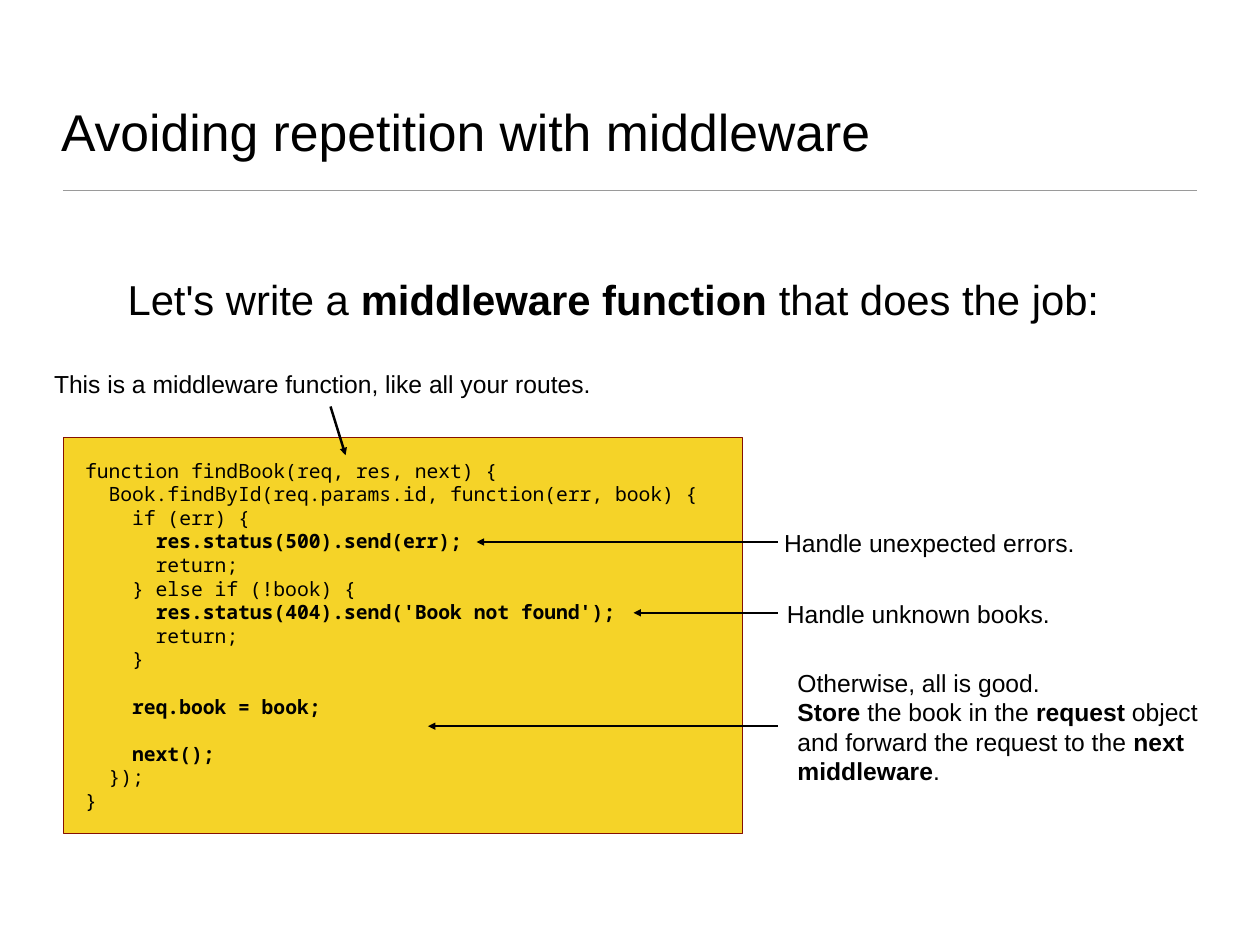
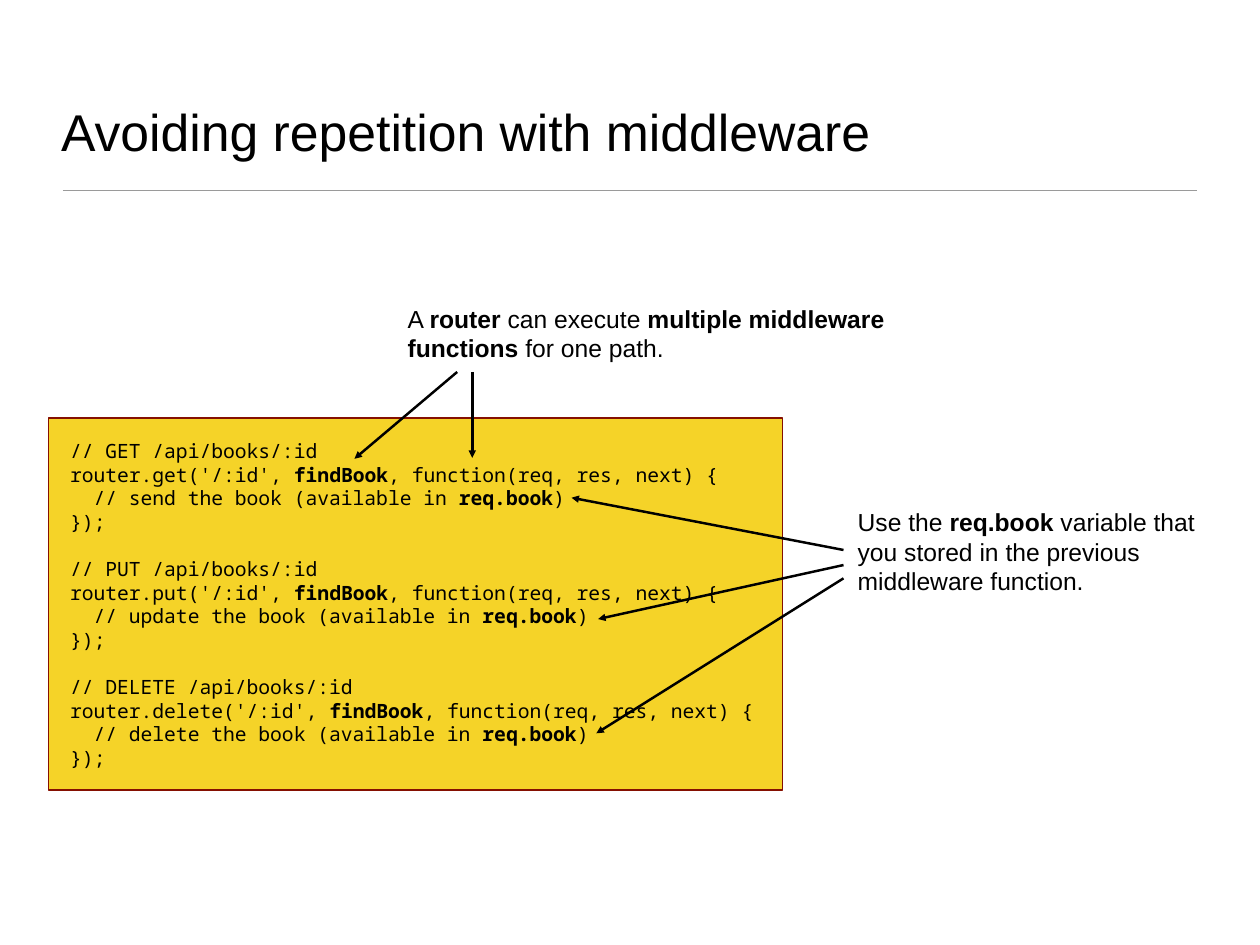
from lxml import etree
from pptx import Presentation
from pptx.dml.color import RGBColor
from pptx.enum.shapes import MSO_CONNECTOR, MSO_SHAPE
from pptx.enum.text import MSO_ANCHOR, PP_ALIGN
from pptx.oxml.ns import qn
from pptx.util import Inches, Pt

STRAIGHT = MSO_CONNECTOR.STRAIGHT
RECTANGLE = MSO_SHAPE.RECTANGLE
MIDDLE, BOTTOM = MSO_ANCHOR.MIDDLE, MSO_ANCHOR.BOTTOM
LEFT = PP_ALIGN.LEFT

BLACK = RGBColor(0x00, 0x00, 0x00)
GREY = RGBColor(0x9A, 0x9A, 0x9A)
YELLOW = RGBColor(0xF5, 0xD3, 0x28)
DARK_RED = RGBColor(0x85, 0x10, 0x01)

TEXT_FONT, CODE_FONT = "Arial", "Noto Sans Mono"
TITLE_SIZE, LEAD_SIZE, NOTE_SIZE, CODE_SIZE = 42, 34, 20, 16
LINE_HEIGHT = 1.2
TEXT_INSET, CODE_INSET = 0.06, 0.24

TITLE = "Avoiding repetition with middleware"

FIND_BOOK_CODE = """function findBook(req, res, next) {
  Book.findById(req.params.id, function(err, book) {
    if (err) {
      **res.status(500).send(err);**
      return;
    } else if (!book) {
      **res.status(404).send('Book not found');**
      return;
    }

    **req.book = book;**

    **next();**
  });
}"""

ROUTE_CODE = """// {verb} /api/books/:id
router.{method}('/:id', **findBook**, function(req, res, next) {{
  // {action} the book (available in **req.book**)
}});"""

ROUTE_ACTIONS = {"GET": "send", "PUT": "update", "DELETE": "delete"}


def write(frame, text, font, size, inset, anchor=MIDDLE, wrap=True):
    """Fill a text frame; words between double asterisks become bold."""
    frame.word_wrap = wrap
    frame.vertical_anchor = anchor
    frame.margin_left = frame.margin_right = Inches(inset)
    frame.margin_top = frame.margin_bottom = Inches(inset)
    for number, line in enumerate(text.split("\n")):
        paragraph = frame.paragraphs[0] if number == 0 else frame.add_paragraph()
        paragraph.alignment = LEFT
        paragraph.line_spacing = Pt(LINE_HEIGHT * size)
        paragraph.font.size = Pt(size)
        for index, part in enumerate(line.split("**")):
            if part:
                run = paragraph.add_run()
                run.text = part
                run.font.name = font
                run.font.size = Pt(size)
                run.font.bold = index % 2 == 1
                run.font.color.rgb = BLACK


def add_text(slide, box, text, size=NOTE_SIZE, anchor=MIDDLE, wrap=True):
    label = slide.shapes.add_textbox(*map(Inches, box))
    write(label.text_frame, text, TEXT_FONT, size, TEXT_INSET, anchor, wrap)


def add_line(slide, start, end, color, width, arrow=False):
    line = slide.shapes.add_connector(STRAIGHT, *map(Inches, (*start, *end)))
    line.line.color.rgb = color
    line.line.width = Pt(width)
    if arrow:
        etree.SubElement(line.line._get_or_add_ln(), qn("a:tailEnd"), type="triangle")
    etree.SubElement(line._element.spPr, qn("a:effectLst"))


def add_titled_slide(prs):
    slide = prs.slides.add_slide(prs.slide_layouts[6])
    add_line(slide, (0.71, 2.15), (13.51, 2.15), GREY, 1)
    add_text(slide, (0.63, 0.36, 12.97, 1.53), TITLE, TITLE_SIZE, BOTTOM)
    return slide


def add_annotated_code(slide, box, code, notes, arrows):
    """Draw a code panel; notes and arrows are offset from its top left corner."""
    left, top = box[:2]
    panel = slide.shapes.add_shape(RECTANGLE, *map(Inches, box))
    panel.shadow.inherit = False
    panel.fill.solid()
    panel.fill.fore_color.rgb = YELLOW
    panel.line.color.rgb = DARK_RED
    panel.line.width = Pt(1)
    write(panel.text_frame, code, CODE_FONT, CODE_SIZE, CODE_INSET)

    for (x, y, width, height), text, wrap in notes:
        add_text(slide, (left + x, top + y, width, height), text, wrap=wrap)
    for (x1, y1), (x2, y2) in arrows:
        add_line(slide, (left + x1, top + y1), (left + x2, top + y2), BLACK, 2, arrow=True)


def add_function_slide(prs):
    slide = add_titled_slide(prs)
    add_text(slide, (1.38, 3.03, 11.47, 0.68),
             "Let's write a **middleware function** that does the job:",
             LEAD_SIZE, wrap=False)
    notes = [
        ((-0.17, -0.83, 6.54, 0.45),
         "This is a middleware function, like all your routes.", False),
        ((8.07, 0.96, 3.6, 0.45), "Handle unexpected errors.", False),
        ((8.1, 1.76, 3.27, 0.45), "Handle unknown books.", False),
        ((8.22, 2.54, 5.05, 1.45),
         "Otherwise, all is good.\n"
         "**Store** the book in the **request** object\n"
         "and forward the request to the **next middleware**.", True),
    ]
    arrows = [((3.01, -0.35), (3.18, 0.2))]
    arrows += [((8.06, y), (tip, y))
               for tip, y in ((4.66, 1.18), (6.43, 1.98), (4.11, 3.26))]
    add_annotated_code(slide, (0.72, 4.94, 7.66, 4.47), FIND_BOOK_CODE, notes, arrows)


def add_router_slide(prs):
    slide = add_titled_slide(prs)
    code = "\n\n".join(
        ROUTE_CODE.format(verb=verb, method=verb.lower(), action=action)
        for verb, action in ROUTE_ACTIONS.items())
    notes = [
        ((3.99, -1.35, 5.82, 0.78),
         "A **router** can execute **multiple middleware functions** for one path.", True),
        ((9.07, 0.78, 4.06, 1.45),
         "Use the **req.book** variable that you stored in the previous "
         "middleware function.", True),
    ]
    arrows = [
        ((4.61, -0.52), (3.45, 0.46)),
        ((4.78, -0.52), (4.78, 0.45)),
        ((8.97, 1.49), (5.9, 0.9)),
        ((8.97, 1.66), (6.2, 2.27)),
        ((8.97, 1.81), (6.18, 3.56)),
    ]
    add_annotated_code(slide, (0.55, 4.72, 8.28, 4.2), code, notes, arrows)


def main():
    prs = Presentation()
    prs.slide_width, prs.slide_height = Inches(14.22), Inches(10.67)
    add_function_slide(prs)
    add_router_slide(prs)
    prs.save("out.pptx")


if __name__ == "__main__":
    main()
